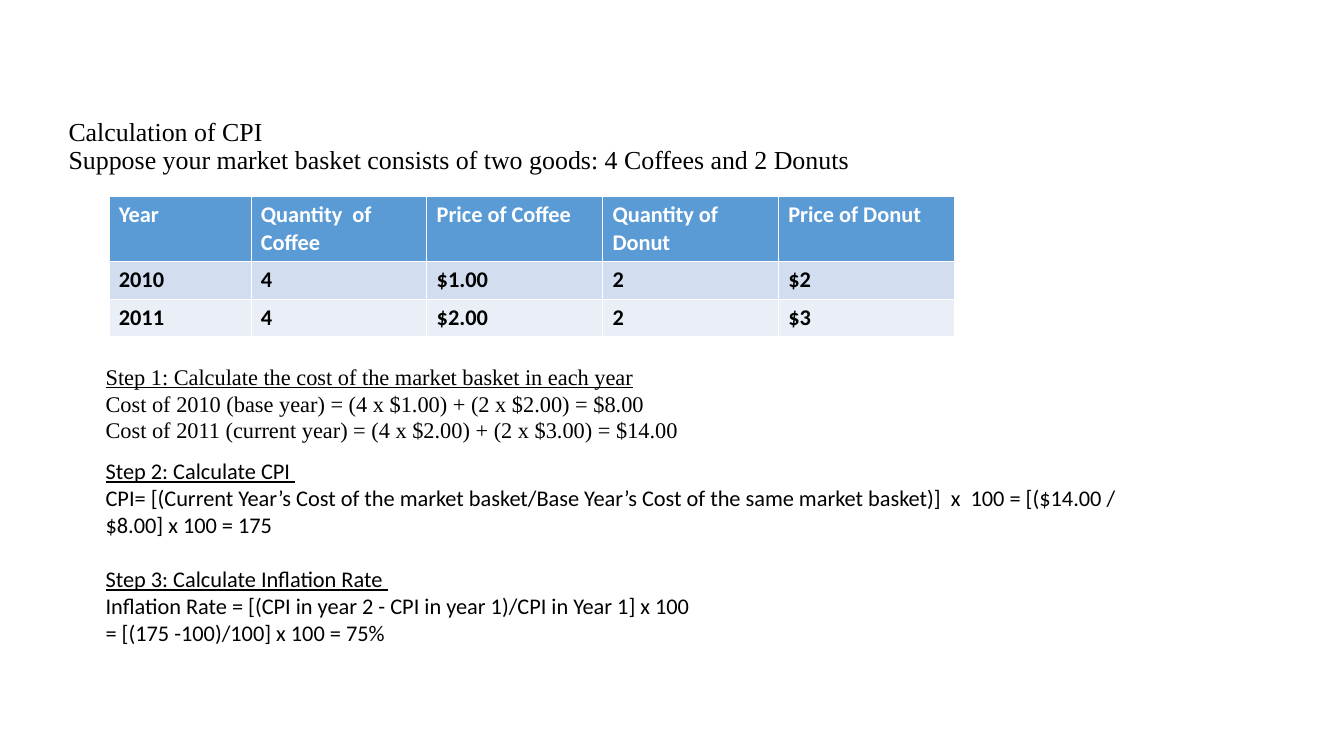
from pptx import Presentation
from pptx.dml.color import RGBColor
from pptx.enum.text import MSO_ANCHOR, MSO_AUTO_SIZE, PP_ALIGN
from pptx.oxml.ns import qn
from pptx.util import Inches, Pt
from lxml.etree import SubElement

BLACK = RGBColor(0, 0, 0)
WHITE = RGBColor(0xFF, 0xFF, 0xFF)
BLUE = RGBColor(0x5B, 0x9B, 0xD5)
PALE = RGBColor(0xD2, 0xDE, 0xEF)
LIGHT = RGBColor(0xEA, 0xEF, 0xF7)
SERIF, SANS = "Times New Roman", "Calibri"


def write(frame, text, font=SANS, size=16, color=BLACK, bold=False, heads=(), space=None):
    """Fill a frame; lines listed in heads are underlined."""
    frame.word_wrap = True
    frame.text = text
    for para in frame.paragraphs:
        para.alignment = PP_ALIGN.LEFT
        if space and para.text == heads[-1]:
            para.space_before = Pt(space)
        for run in para.runs:
            run.font.name = font
            run.font.size = Pt(size)
            run.font.color.rgb = color
            run.font.bold = bold
            run.font.underline = para.text in heads


def edge(cell, side, width):
    """Draw one white cell border."""
    line = SubElement(cell._tc.get_or_add_tcPr(), qn("a:ln" + side), w=str(Pt(width)))
    fill = SubElement(line, qn("a:solidFill"))
    SubElement(fill, qn("a:srgbClr"), val=str(WHITE))


deck = Presentation()
deck.slide_width, deck.slide_height = Inches(13.34), Inches(7.5)
slide = deck.slides.add_slide(deck.slide_layouts[5])

# Title
title = slide.shapes.title
title.left, title.top = Inches(0.58), Inches(0.83)
title.width, title.height = Inches(11.83), Inches(1.08)
frame = title.text_frame
write(frame, "Calculation of CPI\n"
      "Suppose your market basket consists of two goods: 4 Coffees and 2 Donuts",
      font=SERIF, size=18.5)
frame.auto_size = MSO_AUTO_SIZE.NONE
frame.vertical_anchor = MSO_ANCHOR.TOP
frame.margin_top = Inches(0.35)
for para in frame.paragraphs:
    para.line_spacing = 0.9
    para.space_before = Pt(0)

# Price table
rows = [
    ["Year", "Quantity  of Coffee", "Price of Coffee", "Quantity of Donut", "Price of Donut"],
    ["2010", "4", "$1.00", "2", "$2"],
    ["2011", "4", "$2.00", "2", "$3"],
]
wide, first = 8.39, 1.41
table = slide.shapes.add_table(3, 5, Inches(1.08), Inches(1.95),
                               Inches(wide), Inches(1.38)).table
for c, col in enumerate(table.columns):
    col.width = Inches((wide - first) / 4 if c else first)
for r, (row, tall, fill) in enumerate(zip(rows, (0.64, 0.37, 0.37), (BLUE, PALE, LIGHT))):
    table.rows[r].height = Inches(tall)
    for c, text in enumerate(row):
        cell = table.cell(r, c)
        write(cell.text_frame, text, color=BLACK if r else WHITE, bold=True)
        for side in "LRTB":
            thick = (r, side) in ((0, "B"), (1, "T"))
            edge(cell, side, 1.47 if thick else 0.45)
        cell.fill.solid()
        cell.fill.fore_color.rgb = fill

# Worked steps
step1 = "Step 1: Calculate the cost of the market basket in each year"
step2 = "Step 2: Calculate CPI "
step3 = "Step 3: Calculate Inflation Rate "
cost = [
    step1,
    "Cost of 2010 (base year) = (4 x $1.00) + (2 x $2.00) = $8.00",
    "Cost of 2011 (current year) = (4 x $2.00) + (2 x $3.00) = $14.00",
]
rate = [
    step2,
    "CPI= [(Current Year’s Cost of the market basket/Base Year’s Cost of the same "
    "market basket)]  x  100 = [($14.00 / $8.00] x 100 = 175",
    step3,
    "Inflation Rate = [(CPI in year 2 - CPI in year 1)/CPI in Year 1] x 100",
    "= [(175 -100)/100] x 100 = 75%",
]
for lines, top, width, height, style in (
    (cost, 3.55, 10, 0.9, dict(font=SERIF, heads=[step1])),
    (rate, 4.49, 10.67, 1.97, dict(heads=[step2, step3], space=19.5)),
):
    box = slide.shapes.add_textbox(Inches(0.95), Inches(top), Inches(width), Inches(height))
    write(box.text_frame, "\n".join(lines), **style)

deck.save("out.pptx")
